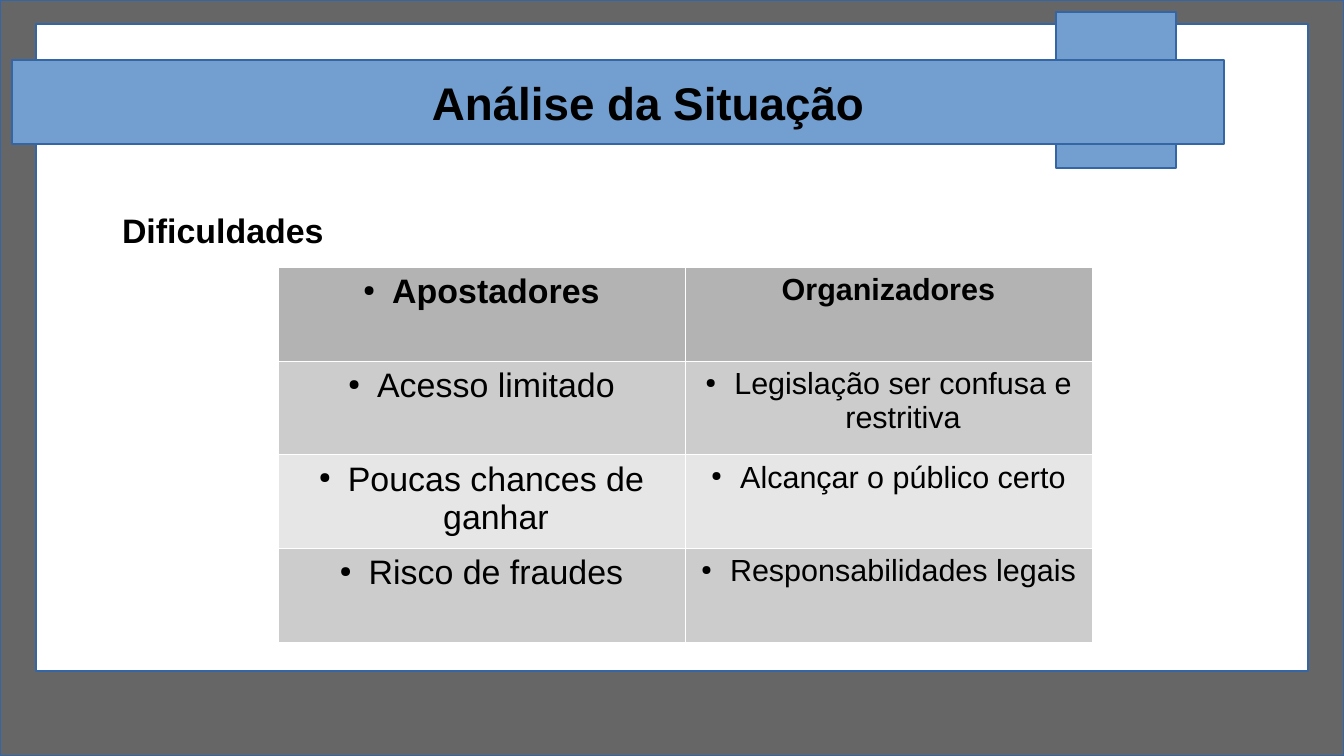
import collections
import dataclasses

import lxml.etree
import pptx
import pptx.dml.color
import pptx.enum.shapes
import pptx.enum.text
import pptx.oxml.ns
import pptx.util

PX = 7495  # EMU in one px, 122 px to the inch
Box = collections.namedtuple("Box", "left top width height")
ALIGN = pptx.enum.text.PP_ALIGN
ANCHOR = pptx.enum.text.MSO_ANCHOR


@dataclasses.dataclass(frozen=True)
class Theme:
    font: str = "Arial"
    text: str = "000000"
    frame: str = "666666"
    paper: str = "FFFFFF"
    ribbon: str = "729FCF"
    outline: str = "3465A4"
    grid: str = "FFFFFF"
    header: str = "B3B3B3"
    bands: tuple = ("CCCCCC", "E6E6E6")
    title_size: int = 27
    heading_size: int = 20
    column_sizes: tuple = (20, 18)


THEME = Theme()
TABLE_ROWS = [
    ("Apostadores", "Organizadores"),
    ("Acesso limitado", "Legislação ser confusa e restritiva"),
    ("Poucas chances de ganhar", "Alcançar o público certo"),
    ("Risco de fraudes", "Responsabilidades legais"),
]


def rgb(value):
    return pptx.dml.color.RGBColor.from_string(value)


def emu(box):
    return [length * PX for length in box]


def add_child(parent, tag, **attributes):
    name = pptx.oxml.ns.qn("a:" + tag)
    return lxml.etree.SubElement(parent, name, attributes)


def add_panel(page, box, fill):
    kind = pptx.enum.shapes.MSO_SHAPE.RECTANGLE
    panel = page.shapes.add_shape(kind, *emu(box))
    panel.shadow.inherit = False
    panel.fill.solid()
    panel.fill.fore_color.rgb = rgb(fill)
    panel.line.color.rgb = rgb(THEME.outline)
    panel.line.width = 0


def set_text(para, text, size, bold, align):
    para.text = text
    para.alignment = align
    para.font.name = THEME.font
    para.font.size = pptx.util.Pt(size)
    para.font.bold = bold
    para.font.color.rgb = rgb(THEME.text)


def add_label(page, box, text, size, align, anchor):
    frame = page.shapes.add_textbox(*emu(box)).text_frame
    frame.word_wrap = True
    frame.vertical_anchor = anchor
    frame.margin_left = frame.margin_top = 0
    frame.margin_right = frame.margin_bottom = 0
    set_text(frame.paragraphs[0], text, size, True, align)


def add_bullet(para):
    """Give the paragraph a small hanging dot."""
    properties = para._p.get_or_add_pPr()
    indent = 29 * PX
    properties.set("marL", str(indent))
    properties.set("indent", str(-indent))
    colour = add_child(properties, "buClr")
    add_child(colour, "srgbClr", val=THEME.text)
    add_child(properties, "buSzPct", val="45000")
    add_child(properties, "buChar", char="●")


def style_cell(cell, fill):
    """Draw hairline borders, then fill the cell."""
    properties = cell._tc.get_or_add_tcPr()
    for side in ("lnL", "lnR", "lnT", "lnB"):
        line = add_child(properties, side, w="720")
        add_child(add_child(line, "solidFill"), "srgbClr", val=THEME.grid)
    cell.fill.solid()
    cell.fill.fore_color.rgb = rgb(fill)


def add_background(page, box):
    add_panel(page, box, THEME.frame)
    paper = Box(box.left + 36, box.top + 24, box.width - 72, box.height - 109)
    add_panel(page, paper, THEME.paper)


def add_title(page, box):
    """Cross a vertical tab with the title ribbon that fills the box."""
    tab = Box(box.left + 1044, box.top - 48, 120, 156)
    add_panel(page, tab, THEME.ribbon)
    add_panel(page, box, THEME.ribbon)
    label = Box(box.left + 60, box.top, box.width - 60, box.height)
    add_label(page, label, "Análise da Situação", THEME.title_size,
              ALIGN.CENTER, ANCHOR.MIDDLE)


def add_difficulties(page, box):
    """Place the heading at the top of the box and the table below it."""
    heading = Box(box.left, box.top, box.width, 40)
    add_label(page, heading, "Dificuldades", THEME.heading_size,
              ALIGN.LEFT, ANCHOR.TOP)
    place = Box(box.left + 156, box.top + 57, 814, box.height - 57)
    shape = page.shapes.add_table(len(TABLE_ROWS), 2, *emu(place))
    for row_index, texts in enumerate(TABLE_ROWS):
        is_header = row_index == 0
        fill = THEME.header if is_header else THEME.bands[(row_index - 1) % 2]
        for column_index, text in enumerate(texts):
            cell = shape.table.cell(row_index, column_index)
            style_cell(cell, fill)
            para = cell.text_frame.paragraphs[0]
            if not (is_header and column_index == 1):
                add_bullet(para)
            set_text(para, text, THEME.column_sizes[column_index],
                     is_header, ALIGN.CENTER)


def main():
    deck = pptx.Presentation()
    deck.slide_width, deck.slide_height = 1344 * PX, 756 * PX
    page = deck.slides.add_slide(deck.slide_layouts[6])
    add_background(page, Box(0, 0, 1344, 756))
    add_title(page, Box(12, 60, 1212, 84))
    add_difficulties(page, Box(122, 210, 1153, 432))
    deck.save("out.pptx")


if __name__ == "__main__":
    main()
